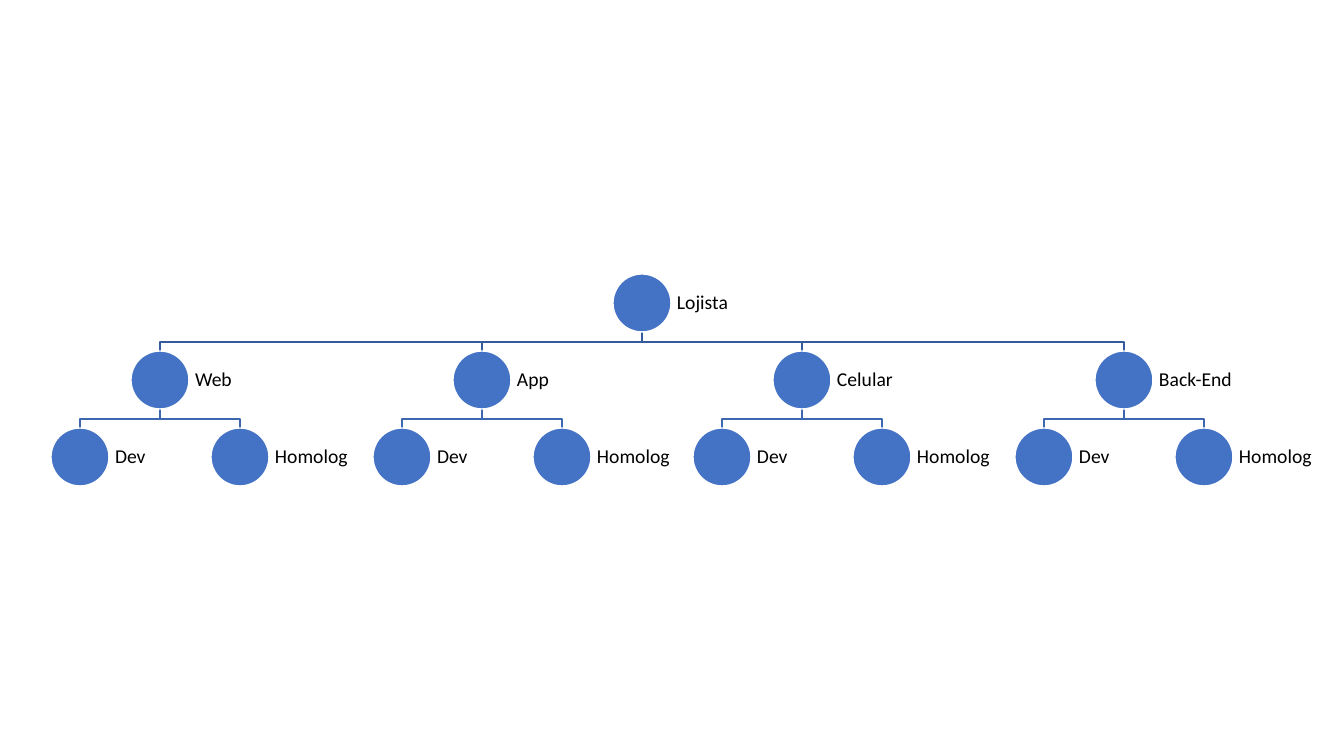
from pptx import Presentation
from pptx.dml.color import RGBColor
from pptx.enum.shapes import MSO_SHAPE as Preset
from pptx.enum.text import MSO_ANCHOR as Anchor
from pptx.util import Pt

EMU_PER_PX = 12192000 / 1344
COLORS = {"node": "4472C4", "outline": "FFFFFF", "label": "000000",
          "platform_link": "365B9D", "environment_link": "3E67B2"}
ROOT = "Lojista"
PLATFORMS = ["Web", "App", "Celular", "Back-End"]
ENVIRONMENTS = ["Dev", "Homolog"]
ROOT_X, ROOT_Y, LEVEL_STEP = 642, 303, 77
PLATFORM_STEP, ENVIRONMENT_STEP = 321, 160
DIAMETER, LABEL_WIDTH, ELBOW_DROP = 58, 88, 10
RADIUS = DIAMETER // 2


def px(pixels):
    return round(pixels * EMU_PER_PX)


def color(key):
    return RGBColor.from_string(COLORS[key])


def spread(names, center, step):
    first = center - step * (len(names) - 1) / 2
    return [(name, round(first + step * i)) for i, name in enumerate(names)]


def set_line(shape, key):
    shape.line.color.rgb = color(key)
    shape.line.width = Pt(1)
    shape.shadow.inherit = False


def add_link(slide, parent, child, key):
    (parent_x, parent_y), (child_x, child_y) = parent, child
    start_y, end_y = parent_y + RADIUS, child_y - RADIUS
    elbow_y = start_y + ELBOW_DROP
    outline = slide.shapes.build_freeform(px(parent_x), px(start_y))
    corners = [(parent_x, elbow_y), (child_x, elbow_y), (child_x, end_y)]
    outline.add_line_segments([(px(x), px(y)) for x, y in corners], close=False)
    link = outline.convert_to_shape()
    link.fill.background()
    set_line(link, key)


def add_node(slide, name, center):
    x, y = center
    top, size = px(y - RADIUS), px(DIAMETER)
    circle = slide.shapes.add_shape(Preset.OVAL, px(x - RADIUS), top, size, size)
    circle.fill.solid()
    circle.fill.fore_color.rgb = color("node")
    set_line(circle, "outline")

    label = slide.shapes.add_textbox(px(x + RADIUS), top, px(LABEL_WIDTH), size)
    frame = label.text_frame
    frame.word_wrap = True
    frame.vertical_anchor = Anchor.MIDDLE
    frame.margin_left = frame.margin_right = px(6)
    frame.margin_top = frame.margin_bottom = px(6)
    paragraph = frame.paragraphs[0]
    paragraph.text = name
    paragraph.line_spacing = 0.9
    paragraph.font.name = "Calibri"
    paragraph.font.size = Pt(14)
    paragraph.font.color.rgb = color("label")


def main():
    """Build the tree of platforms and their environments."""
    deck = Presentation()
    deck.slide_width, deck.slide_height = px(1344), px(756)
    slide = deck.slides.add_slide(deck.slide_layouts[6])

    root = (ROOT_X, ROOT_Y)
    nodes = [(ROOT, root)]
    for platform, platform_x in spread(PLATFORMS, ROOT_X, PLATFORM_STEP):
        platform_center = (platform_x, ROOT_Y + LEVEL_STEP)
        nodes.append((platform, platform_center))
        add_link(slide, root, platform_center, "platform_link")
        for environment, x in spread(ENVIRONMENTS, platform_x, ENVIRONMENT_STEP):
            center = (x, ROOT_Y + 2 * LEVEL_STEP)
            nodes.append((environment, center))
            add_link(slide, platform_center, center, "environment_link")
    for name, center in nodes:
        add_node(slide, name, center)
    deck.save("out.pptx")


main()
